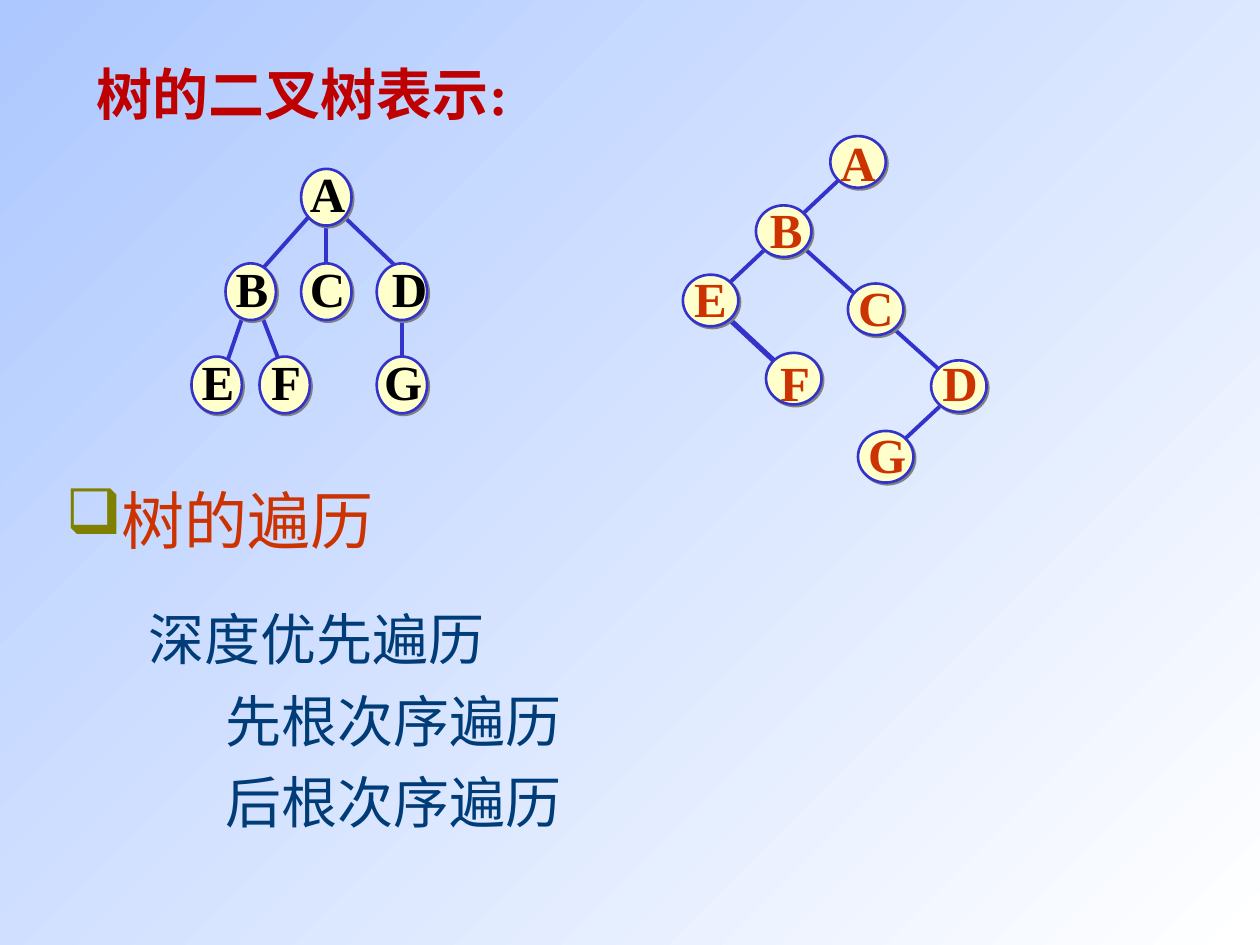
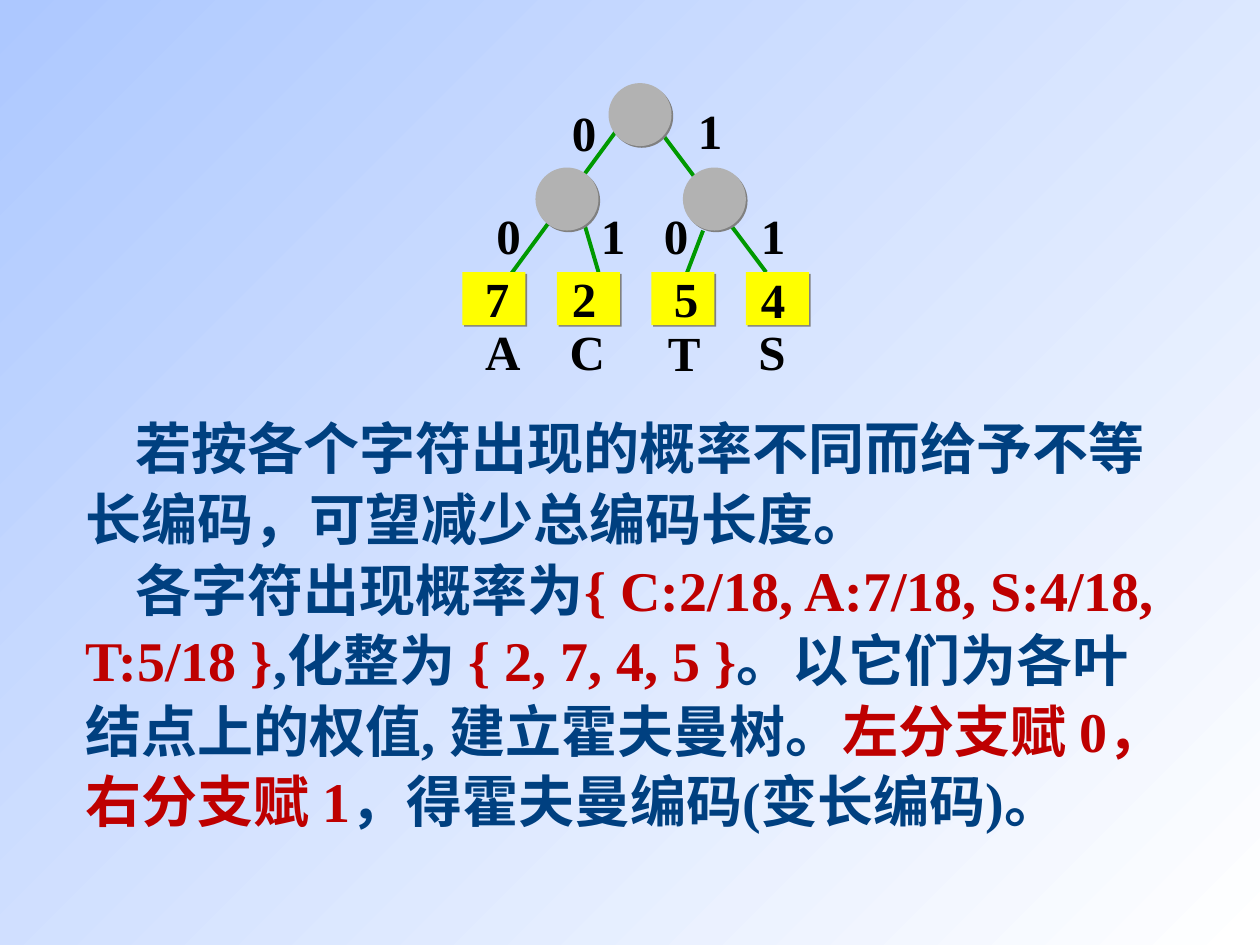
from dataclasses import dataclass

from lxml import etree
from pptx import Presentation
from pptx.dml.color import RGBColor
from pptx.enum.shapes import MSO_CONNECTOR, MSO_SHAPE
from pptx.enum.text import MSO_ANCHOR, MSO_AUTO_SIZE, PP_ALIGN
from pptx.oxml.ns import qn
from pptx.util import Inches, Pt

STRAIGHT = MSO_CONNECTOR.STRAIGHT
OVAL, RECT = MSO_SHAPE.OVAL, MSO_SHAPE.RECTANGLE
TOP, MIDDLE = MSO_ANCHOR.TOP, MSO_ANCHOR.MIDDLE
LEFT, CENTER = PP_ALIGN.LEFT, PP_ALIGN.CENTER
NO_AUTOFIT = MSO_AUTO_SIZE.NONE


@dataclass(frozen=True)
class Theme:
    sky: RGBColor = RGBColor.from_string("ADC8FF")
    white: RGBColor = RGBColor.from_string("FFFFFF")
    black: RGBColor = RGBColor.from_string("000000")
    red: RGBColor = RGBColor.from_string("BE0000")
    orange: RGBColor = RGBColor.from_string("CC3300")
    navy: RGBColor = RGBColor.from_string("003C78")
    blue: RGBColor = RGBColor.from_string("004080")
    edge: RGBColor = RGBColor.from_string("3333CC")
    cream: RGBColor = RGBColor.from_string("FFFFCC")
    green: RGBColor = RGBColor.from_string("009900")
    grey: RGBColor = RGBColor.from_string("B2B2B2")
    yellow: RGBColor = RGBColor.from_string("FFFF00")
    shadow: str = "808080"
    bullet: str = "808000"
    serif: str = "Times New Roman"
    sans: str = "Arial"
    title: Pt = Pt(36)
    body: Pt = Pt(32)
    label: Pt = Pt(28)


T = Theme()
LABEL_H = 0.57
LABEL_W = {"A": 0.48, "B": 0.46, "C": 0.48, "D": 0.48, "E": 0.46,
           "F": 0.44, "G": 0.5, "T": 0.46, "S": 0.41}
DIGIT_W = 0.39


def add_node(shapes, kind, x, y, w, h, fill, line=None):
    """Add a filled tree node with a hard grey shadow."""
    sp = shapes.add_shape(kind, Inches(x), Inches(y), Inches(w), Inches(h))
    sp.fill.solid()
    sp.fill.fore_color.rgb = fill
    if line is None:
        sp.line.fill.background()
    else:
        sp.line.color.rgb = line
        sp.line.width = Pt(1.5)
    sp.shadow.inherit = False
    effects = sp._element.spPr.find(qn("a:effectLst"))
    shadow = etree.SubElement(effects, qn("a:outerShdw"), dist=str(Pt(1.4)),
                              dir="2700000", algn="ctr", rotWithShape="0")
    etree.SubElement(shadow, qn("a:srgbClr"), val=T.shadow)
    return sp


def write_label(sp, text, color):
    tf = sp.text_frame
    tf.word_wrap = False
    tf.vertical_anchor = MIDDLE
    tf.margin_left = tf.margin_right = Inches(0.1)
    tf.margin_top = tf.margin_bottom = Inches(0.05)
    p = tf.paragraphs[0]
    p.alignment = CENTER
    r = p.add_run()
    r.text = text
    r.font.name, r.font.size, r.font.bold = T.serif, T.label, True
    r.font.color.rgb = color


prs = Presentation()
prs.slide_width, prs.slide_height = Inches(10), Inches(7.5)
fill = prs.slide_master.background.fill
fill.gradient()
fill.gradient_angle = 315
for stop, color in zip(fill.gradient_stops, (T.sky, T.white)):
    stop.color.rgb = color

# Slide 1: a tree, its binary form, and the ways to traverse it
trees = prs.slides.add_slide(prs.slide_layouts[1])
sp = trees.shapes.add_textbox(Inches(0.67), Inches(0.42), Inches(3.42), Inches(1.17))
sp.text_frame.word_wrap = True
r = sp.text_frame.paragraphs[0].add_run()
r.text = "树的二叉树表示:"
r.font.name, r.font.size, r.font.bold = T.serif, T.body, True
r.font.color.rgb = T.red

sp = trees.shapes.title
sp.left, sp.top, sp.width, sp.height = Inches(0.42), Inches(3.75), Inches(3.08), Inches(0.75)
tf = sp.text_frame
tf.auto_size = NO_AUTOFIT
tf.vertical_anchor = MIDDLE
p = tf.paragraphs[0]
p.alignment = LEFT
pPr = p._p.get_or_add_pPr()
bullet_color = etree.SubElement(pPr, qn("a:buClr"))
etree.SubElement(bullet_color, qn("a:srgbClr"), val=T.bullet)
etree.SubElement(pPr, qn("a:buChar"), char="❑")
r = p.add_run()
r.text = "树的遍历"
r.font.name, r.font.size = T.sans, T.title
r.font.color.rgb = T.orange

sp = trees.placeholders[1]
sp.left, sp.top, sp.width, sp.height = Inches(1.08), Inches(4.75), Inches(7.83), Inches(2)
tf = sp.text_frame
tf.auto_size = NO_AUTOFIT
tf.vertical_anchor = TOP
traversals = [("深度优先遍历", 0, 0.38, -0.38),
              ("先根次序遍历", 1, 0.81, -0.2),
              ("后根次序遍历", 1, 0.81, -0.2)]
for i, (text, level, margin, indent) in enumerate(traversals):
    p = tf.add_paragraph() if i else tf.paragraphs[0]
    p.level = level
    p.space_before = Pt(8 if i else 0)
    pPr = p._p.get_or_add_pPr()
    pPr.set("marL", str(Inches(margin)))
    pPr.set("indent", str(Inches(indent)))
    etree.SubElement(pPr, qn("a:buNone"))
    r = p.add_run()
    r.text = text
    r.font.name, r.font.size = T.serif, T.body
    r.font.color.rgb = T.navy

# Edges: x1, y1, x2, y2, width. Nodes: letter, left, top, label left, label top
tree_edges = [(3.19, 2.46, 3.19, 2.91, 2.25), (2.06, 2.46, 2.26, 2.98, 2.25),
              (1.92, 2.53, 1.79, 2.91, 2.25), (2.72, 1.71, 3.19, 2.16, 2.25),
              (2.59, 1.79, 2.59, 2.16, 2.25), (2.46, 1.71, 2.06, 2.16, 2.25)]
tree_nodes = [("A", 2.39, 1.34, 2.36, 1.25), ("B", 1.79, 2.09, 1.77, 2),
              ("C", 2.39, 2.09, 2.36, 2), ("D", 2.99, 2.09, 3.01, 2),
              ("E", 1.52, 2.83, 1.5, 2.74), ("F", 2.06, 2.83, 2.05, 2.74),
              ("G", 2.99, 2.83, 2.95, 2.74)]
binary_edges = [(5.71, 2.46, 6.15, 2.87, 3), (7.54, 3.15, 7.1, 3.56, 2.25),
                (6.73, 1.36, 5.71, 2.32, 2.25), (6.37, 1.96, 7.54, 3.01, 2.25)]
binary_nodes = [("A", 6.59, 1.08, None, None), ("B", 6, 1.63, 6.01, 1.53),
                ("C", 6.73, 2.25, 6.71, 2.15), ("D", 7.39, 2.86, 7.38, 2.75),
                ("E", 5.42, 2.18, 5.41, 2.08), ("F", 6.08, 2.8, 6.09, 2.75),
                ("G", 6.81, 3.42, 6.79, 3.32)]
code_edges = [(5.58, 1.83, 5.42, 2.25, 2.25), (5.08, 0.83, 6.08, 2.16, 2.25),
              (4.58, 1.58, 4.75, 2.16, 2.25), (4.92, 1, 4, 2.25, 2.25)]

codes = prs.slides.add_slide(prs.slide_layouts[6])
tree_shapes = trees.shapes.add_group_shape().shapes
for shapes, edges, color in ((tree_shapes, tree_edges, T.edge),
                             (trees.shapes, binary_edges, T.edge),
                             (codes.shapes, code_edges, T.green)):
    for x1, y1, x2, y2, width in edges:
        line = shapes.add_connector(STRAIGHT, Inches(x1), Inches(y1), Inches(x2), Inches(y2))
        line.line.color.rgb = color
        line.line.width = Pt(width)
        etree.SubElement(line._element.spPr, qn("a:effectLst"))

for shapes, nodes, w, h, color in ((tree_shapes, tree_nodes, 0.4, 0.45, T.black),
                                   (trees.shapes, binary_nodes, 0.44, 0.41, T.orange)):
    for letter, x, y, label_x, label_y in nodes:
        sp = add_node(shapes, OVAL, x, y, w, h, T.cream, T.edge)
        if label_x is not None:
            sp = shapes.add_textbox(Inches(label_x), Inches(label_y),
                                    Inches(LABEL_W[letter]), Inches(LABEL_H))
        write_label(sp, letter, color)

# Slide 2: Huffman tree and the explanation below it
for x, y in ((4.83, 0.66), (4.25, 1.33), (5.42, 1.33)):
    add_node(codes.shapes, OVAL, x, y, 0.5, 0.5, T.grey)
for i in range(4):
    add_node(codes.shapes, RECT, 3.67 + 0.75 * i, 2.16, 0.5, 0.42, T.yellow)

weights = [("7", 3.75, 2.08), ("2", 4.44, 2.08), ("5", 5.25, 2.08), ("4", 5.94, 2.09)]
bits = [("0", 4.44, 0.76), ("1", 5.44, 0.75), ("0", 3.84, 1.58),
        ("1", 4.67, 1.58), ("0", 5.17, 1.58), ("1", 5.94, 1.58)]
letters = [("A", 3.75, 2.5), ("C", 4.42, 2.5), ("T", 5.2, 2.51), ("S", 5.92, 2.5)]
for text, x, y in weights + bits + letters:
    sp = codes.shapes.add_textbox(Inches(x), Inches(y),
                                  Inches(LABEL_W.get(text, DIGIT_W)), Inches(LABEL_H))
    write_label(sp, text, T.black)

explanation = [
    [("若按各个字符出现的概率不同而给予不等长编码，可望减少总编码长度。", T.blue)],
    [("各字符出现概率为", T.blue),
     ("{ C:2/18, A:7/18, S:4/18, T:5/18 }", T.red),
     (",化整为 ", T.blue),
     ("{ 2, 7, 4, 5 }", T.red),
     ("。以它们为各叶结点上的权值, 建立霍夫曼树。", T.blue),
     ("左分支赋 0，右分支赋 1", T.red),
     ("，得霍夫曼编码(变长编码)。", T.blue)],
]
sp = codes.shapes.add_textbox(Inches(0.58), Inches(3.21), Inches(8.83), Inches(4.02))
tf = sp.text_frame
tf.word_wrap = True
for i, runs in enumerate(explanation):
    p = tf.add_paragraph() if i else tf.paragraphs[0]
    p.line_spacing = 1.05
    p._p.get_or_add_pPr().set("indent", str(Inches(0.4)))
    for text, color in runs:
        r = p.add_run()
        r.text = text
        r.font.name, r.font.size, r.font.bold = T.serif, T.body, True
        r.font.color.rgb = color

prs.save("out.pptx")
